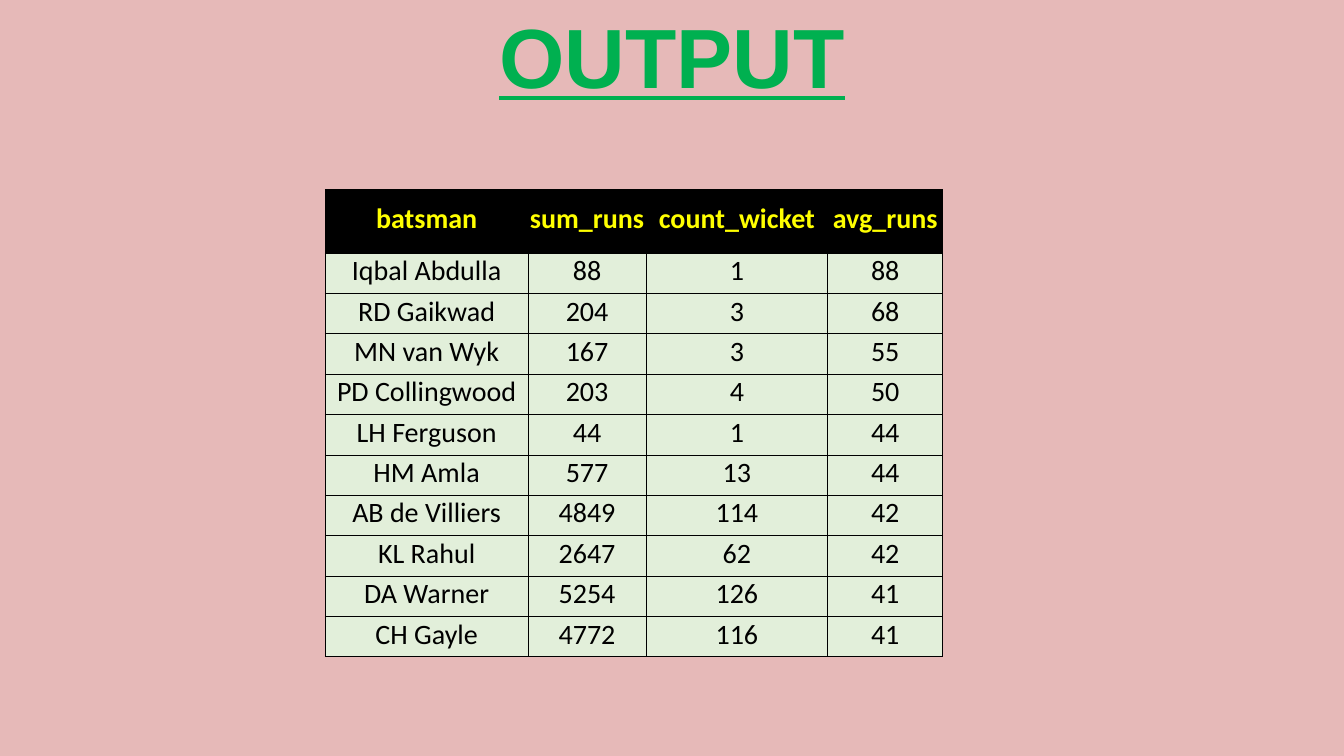
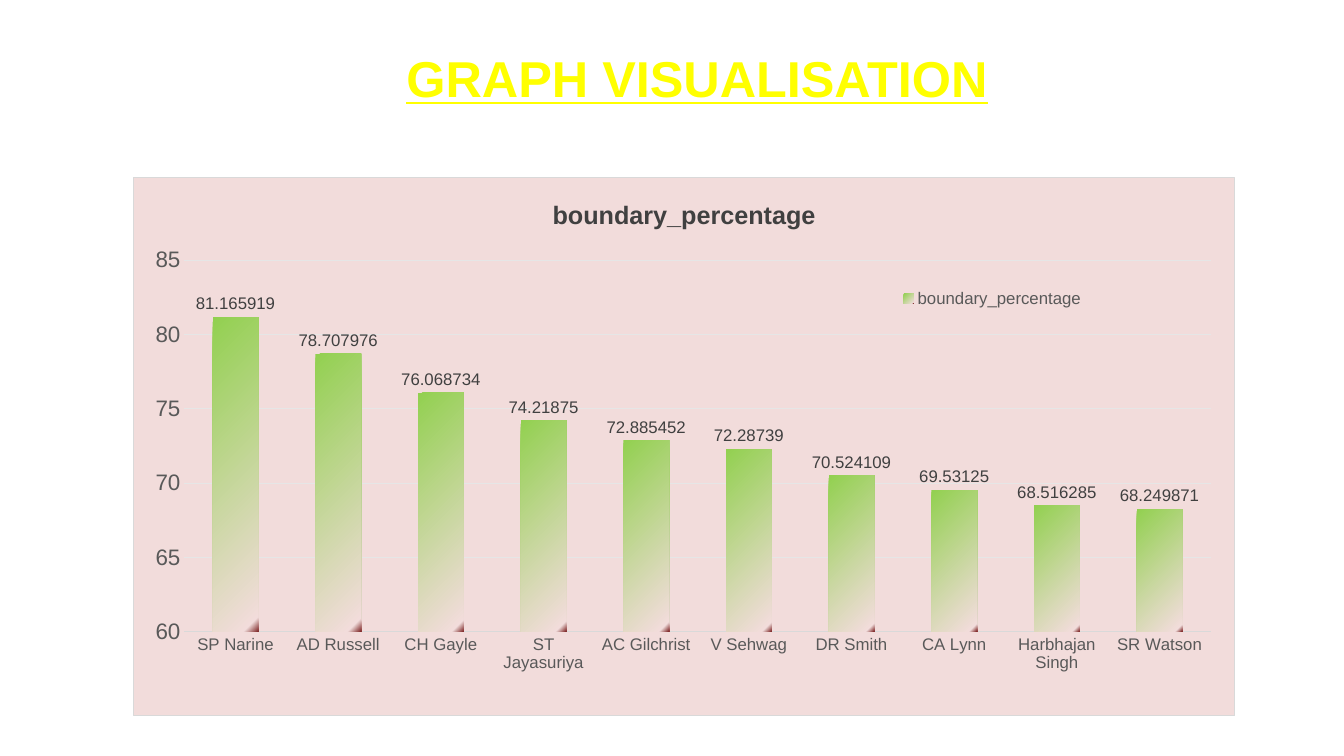
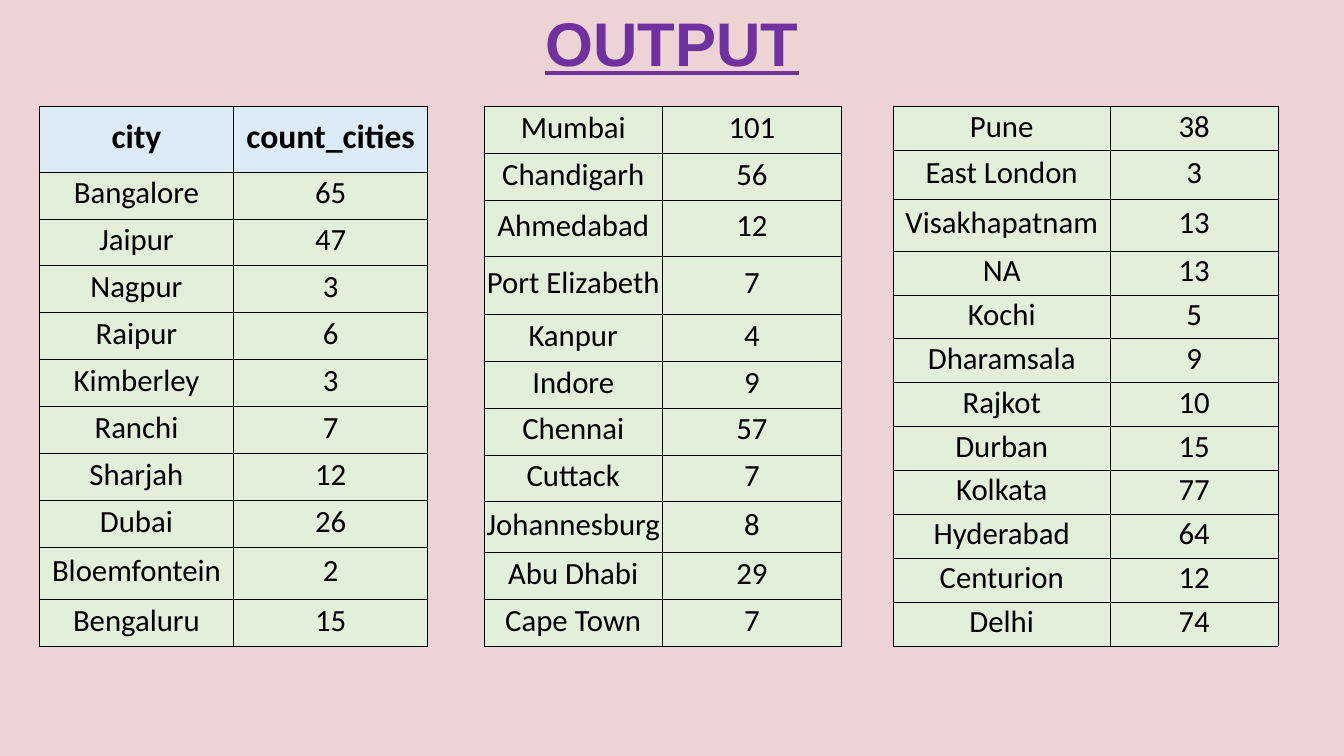
from collections import namedtuple
from dataclasses import dataclass

from lxml import etree
from pptx import Presentation, util as u
from pptx.chart.data import CategoryChartData
from pptx.dml.color import RGBColor
from pptx.enum import chart as ch, shapes, text
from pptx.oxml import parse_xml
from pptx.oxml.ns import nsdecls, qn


@dataclass(frozen=True)
class Theme:
    heading_font: str = "Arial"
    table_font: str = "Calibri"
    black: str = "000000"
    yellow: str = "FFFF00"
    green: str = "00B050"
    purple: str = "7030A0"
    outline: str = "C0504D"
    rose: str = "E6B9B8"
    dusk: str = "E0B3B2"
    blush: str = "F2DCDB"
    body_cell: str = "E2EFDA"
    blue_cell: str = "DDEBF7"
    lime: str = "92D050"
    maroon: str = "832B2B"
    dark_grey: str = "404040"
    grey: str = "595959"
    axis_line: str = "D9D9D9"
    grid_line: str = "E6E6E6"
    huge: int = 60
    large: int = 44
    heading: int = 36
    table_head: int = 24
    table_wide: int = 22
    table_small: int = 20
    chart_title: int = 18
    chart_axis: int = 16
    chart_text: int = 12
    chart_base: int = 10


T = Theme()
WIDTH, HEIGHT = u.Inches(13.33), u.Inches(7.5)
Box = namedtuple("Box", "x y w h")  # percent of the slide's width and height
FULL = Box(0, 0, 100, 100)

BATSMEN = [
    ("batsman", "sum_runs", "count_wicket", "avg_runs"),
    ("Iqbal Abdulla", 88, 1, 88), ("RD Gaikwad", 204, 3, 68),
    ("MN van Wyk", 167, 3, 55), ("PD Collingwood", 203, 4, 50),
    ("LH Ferguson", 44, 1, 44), ("HM Amla", 577, 13, 44),
    ("AB de Villiers", 4849, 114, 42), ("KL Rahul", 2647, 62, 42),
    ("DA Warner", 5254, 126, 41), ("CH Gayle", 4772, 116, 41),
]
BOUNDARIES = {
    "SP Narine": 81.165919, "AD Russell": 78.707976,
    "CH Gayle": 76.068734, "ST Jayasuriya": 74.21875,
    "AC Gilchrist": 72.885452, "V Sehwag": 72.28739,
    "DR Smith": 70.524109, "CA Lynn": 69.53125,
    "Harbhajan Singh": 68.516285, "SR Watson": 68.249871,
}
CITIES_LEFT = [
    ("city", "count_cities"), ("Bangalore", 65), ("Jaipur", 47), ("Nagpur", 3),
    ("Raipur", 6), ("Kimberley", 3), ("Ranchi", 7), ("Sharjah", 12),
    ("Dubai", 26), ("Bloemfontein", 2), ("Bengaluru", 15),
]
CITIES_MIDDLE = [
    ("Mumbai", 101), ("Chandigarh", 56), ("Ahmedabad", 12),
    ("Port Elizabeth", 7), ("Kanpur", 4), ("Indore", 9), ("Chennai", 57),
    ("Cuttack", 7), ("Johannesburg", 8), ("Abu Dhabi", 29), ("Cape Town", 7),
]
CITIES_RIGHT = [
    ("Pune", 38), ("East London", 3), ("Visakhapatnam", 13), ("NA", 13),
    ("Kochi", 5), ("Dharamsala", 9), ("Rajkot", 10), ("Durban", 15),
    ("Kolkata", 77), ("Hyderabad", 64), ("Centurion", 12), ("Delhi", 74),
]


def rgb(color):
    return RGBColor.from_string(color)


def place(box):
    """Turn a box in percent into left, top, width and height."""
    return [int(share * side / 100)
            for share, side in zip(box, (WIDTH, HEIGHT, WIDTH, HEIGHT))]


def style_font(font, size, color, name=T.heading_font, bold=False, underline=None):
    font.size, font.name, font.bold = u.Pt(size), name, bold
    font.underline = underline
    font.color.rgb = rgb(color)


def write(tf, content, align=text.PP_ALIGN.CENTER, **style):
    p = tf.paragraphs[0]
    p.alignment = align
    r = p.add_run()
    r.text = str(content)
    style_font(r.font, **style)
    return r


def line_xml(tag, color, width):
    return parse_xml(
        f'<a:{tag} {nsdecls("a")} w="{u.Pt(width)}"><a:solidFill>'
        f'<a:srgbClr val="{color}"/></a:solidFill></a:{tag}>')


def add_backdrop(s, box, title, size, color, fill, opacity=100):
    """Coloured panel that carries the slide title at its top."""
    sp = s.shapes.add_shape(shapes.MSO_SHAPE.RECTANGLE, *place(box))
    sp.shadow.inherit = False
    sp.line.fill.background()
    sp.fill.solid()
    sp.fill.fore_color.rgb = rgb(fill)
    if opacity < 100:
        clr = sp.fill._xPr.find(".//" + qn("a:srgbClr"))
        etree.SubElement(clr, qn("a:alpha")).set("val", str(opacity * 1000))
    tf = sp.text_frame
    tf.word_wrap = True
    tf.vertical_anchor = text.MSO_ANCHOR.TOP
    write(tf, title, size=size, color=color, bold=True, underline=True)


def add_heading(s, box, title):
    tf = s.shapes.add_textbox(*place(box)).text_frame
    tf.word_wrap = True
    r = write(tf, title, align=text.PP_ALIGN.LEFT, size=T.heading,
              color=T.yellow, bold=True, underline=True)
    r.font._element.insert(0, line_xml("ln", T.outline, 1.75))


def fill_cell(cell, content, fill, **style):
    cell.margin_left = cell.margin_right = cell.margin_top = u.Inches(0.01)
    cell.margin_bottom = u.Inches(0.05)
    cell.vertical_anchor = text.MSO_ANCHOR.MIDDLE
    tc_pr = cell._tc.get_or_add_tcPr()
    for side in "LRTB":
        tc_pr.append(line_xml("ln" + side, T.black, 0.5))
    cell.fill.solid()
    cell.fill.fore_color.rgb = rgb(fill)
    write(cell.text_frame, content, name=T.table_font, **style)


def add_grid(s, box, rows, cols, size, tall=None, head=None):
    """Table; cols are width weights, tall maps row numbers to height weights."""
    left, top, width, height = place(box)
    table = s.shapes.add_table(len(rows), len(cols), left, top, width, height).table
    table.first_row = table.horz_banding = False
    for col, weight in zip(table.columns, cols):
        col.width = int(width * weight / sum(cols))
    weights = [(tall or {}).get(i, 1) for i in range(len(rows))]
    body = dict(fill=T.body_cell, size=size, color=T.black)
    for i, values in enumerate(rows):
        table.rows[i].height = int(height * weights[i] / sum(weights))
        style = head if head and i == 0 else body
        for j, value in enumerate(values):
            fill_cell(table.cell(i, j), value, **style)


def layout_xml(box, inner=False):
    """Manual layout for a box in percent of the chart."""
    target = '<c:layoutTarget val="inner"/>' if inner else ""
    sizes = "".join(f'<c:{k} val="{v / 100:.4f}"/>' for k, v in zip("xywh", box))
    return parse_xml(
        f'<c:layout {nsdecls("c")}><c:manualLayout>{target}<c:xMode val="edge"/>'
        f'<c:yMode val="edge"/>{sizes}</c:manualLayout></c:layout>')


def gradient_xml(stops, angle):
    marks = "".join(f'<a:gs pos="{pos * 1000}"><a:srgbClr val="{color}"/></a:gs>'
                    for pos, color in stops)
    return parse_xml(f'<a:gradFill {nsdecls("a")}><a:gsLst>{marks}</a:gsLst>'
                     f'<a:lin ang="{angle * 60000}" scaled="0"/></a:gradFill>')


def style_axes(chart):
    cat, val = chart.category_axis, chart.value_axis
    for axis, size in ((cat, T.chart_text), (val, T.chart_axis)):
        axis.major_tick_mark = axis.minor_tick_mark = ch.XL_TICK_MARK.NONE
        style_font(axis.tick_labels.font, size, T.grey)
    val.minimum_scale, val.maximum_scale, val.major_unit = 60, 85, 5
    val.format.line.fill.background()
    val.has_major_gridlines = True
    for line, color in ((cat.format.line, T.axis_line),
                        (val.major_gridlines.format.line, T.grid_line)):
        line.color.rgb = rgb(color)
        line.width = u.Pt(0.75)


def style_bars(plot):
    plot.gap_width, plot.overlap = 125, -28
    plot.vary_by_categories = False
    series = plot.series[0]
    sp_pr = series._element.get_or_add_spPr()
    sp_pr.append(gradient_xml([(0, T.lime), (96, T.blush), (100, T.maroon)], 45))
    plot.has_data_labels = True
    labels = plot.data_labels
    labels.show_value = True
    labels.number_format, labels.number_format_is_linked = "General", False
    labels.position = ch.XL_LABEL_POSITION.OUTSIDE_END
    style_font(labels.font, T.chart_text, T.dark_grey)


def style_frame(chart):
    """Panel, plot area and legend."""
    root = chart.element
    panel = parse_xml(
        f'<c:spPr {nsdecls("c", "a")}><a:solidFill><a:srgbClr val="{T.blush}"/>'
        '</a:solidFill></c:spPr>')
    panel.append(line_xml("ln", T.axis_line, 0.75))
    root.find(qn("c:chart")).addnext(panel)
    area = root.find(".//" + qn("c:plotArea"))
    for old in area.findall(qn("c:layout")):
        area.remove(old)
    area.insert(0, layout_xml(Box(4.6, 15.3, 93.25, 69.1), inner=True))
    chart.has_legend = True
    legend = chart.legend
    legend.position = ch.XL_LEGEND_POSITION.BOTTOM
    legend.include_in_layout = False
    style_font(legend.font, T.chart_text, T.grey)
    legend._element.find(qn("c:legendPos")).addnext(
        layout_xml(Box(69, 20, 18, 5)))


def add_bar_chart(s, box, name, values):
    data = CategoryChartData()
    data.categories = list(values)
    data.add_series(name, list(values.values()))
    chart = s.shapes.add_chart(
        ch.XL_CHART_TYPE.COLUMN_CLUSTERED, *place(box), data).chart
    style_font(chart.font, T.chart_base, T.black)
    chart.has_title = True
    write(chart.chart_title.text_frame, name, size=T.chart_title,
          color=T.dark_grey, bold=True)
    style_axes(chart)
    style_bars(chart.plots[0])
    style_frame(chart)


def batsmen_slide(s):
    add_backdrop(s, FULL, "OUTPUT", T.huge, T.green, T.rose)
    head = dict(fill=T.black, size=T.table_small, color=T.yellow, bold=True)
    add_grid(s, Box(24.2, 25.05, 45.95, 61.4), BATSMEN, (2.01, 1.17, 1.8, 1.14),
             T.table_small, tall={0: 1.59}, head=head)


def graph_slide(s):
    add_bar_chart(s, Box(9.9, 23.45, 82, 71.3), "boundary_percentage", BOUNDARIES)
    add_heading(s, Box(29.5, 5.6, 49.2, 10.9), "GRAPH VISUALISATION")


def cities_slide(s):
    add_backdrop(s, FULL, "OUTPUT", T.large, T.purple, T.dusk, opacity=57)
    head = dict(fill=T.blue_cell, size=T.table_head, color=T.black, bold=True)
    top, height = 14.1, 71.4
    for x, w, rows, cols, tall, style in (
            (2.93, 28.9, CITIES_LEFT, (1, 1), {0: 1.39, 9: 1.1}, head),
            (36, 26.6, CITIES_MIDDLE, (1, 1), {2: 1.19, 3: 1.24, 8: 1.08}, None),
            (66.45, 28.65, CITIES_RIGHT, (2.15, 1.66), {1: 1.11, 2: 1.18}, None)):
        add_grid(s, Box(x, top, w, height), rows, cols, T.table_wide, tall, style)


def main():
    prs = Presentation()
    prs.slide_width, prs.slide_height = WIDTH, HEIGHT
    for build in (batsmen_slide, graph_slide, cities_slide):
        build(prs.slides.add_slide(prs.slide_layouts[6]))
    prs.save("out.pptx")


if __name__ == "__main__":
    main()
